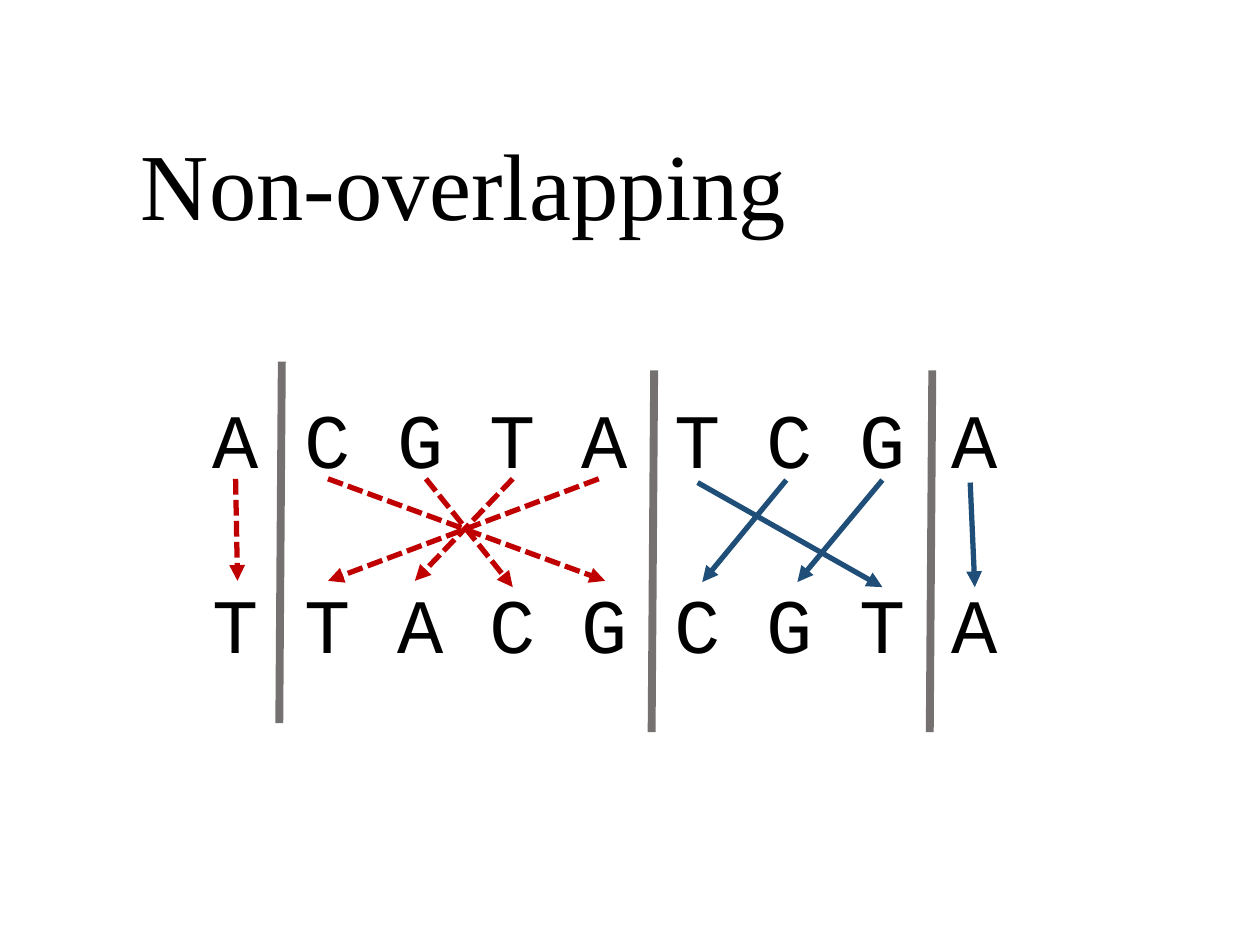
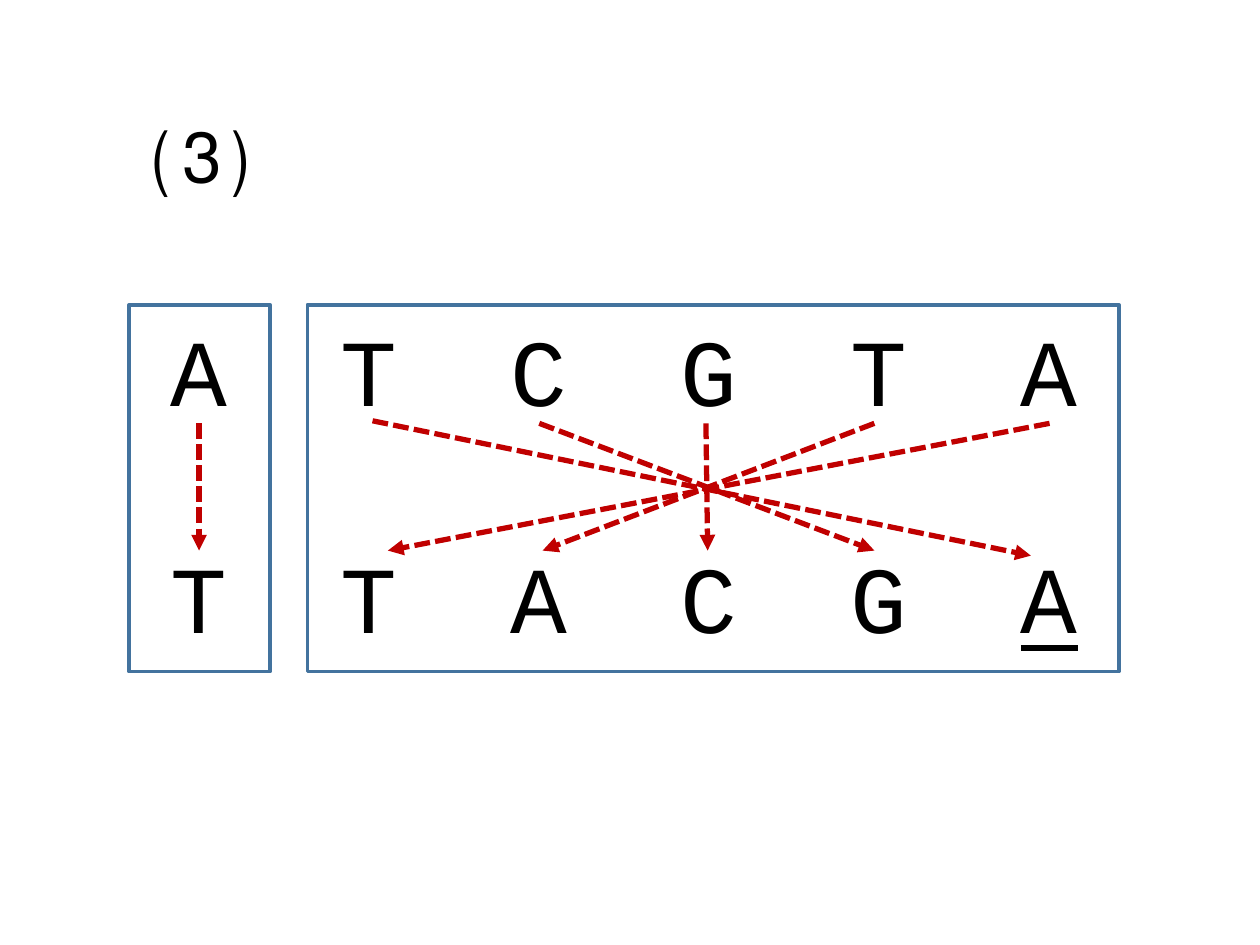
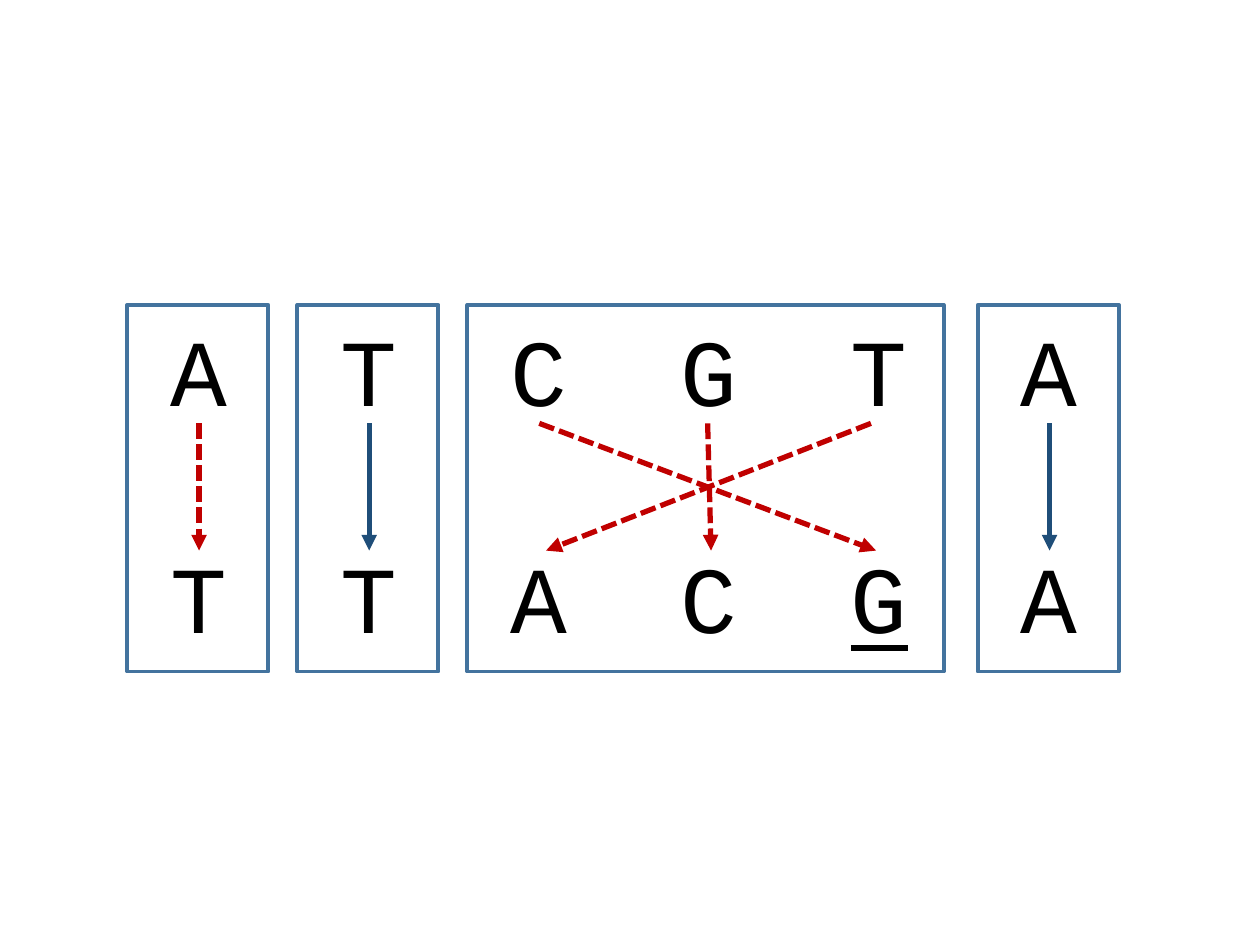
from dataclasses import dataclass

from pptx import Presentation
from pptx.dml.color import RGBColor
from pptx.enum.dml import MSO_LINE
from pptx.enum.shapes import MSO_CONNECTOR, MSO_SHAPE
from pptx.enum.text import MSO_AUTO_SIZE, PP_ALIGN
from pptx.oxml.ns import qn
from pptx.util import Emu, Inches, Pt
from lxml.etree import SubElement

COLORS = {"text": "000000", "reversed": "C00000", "direct": "1F4E79",
          "divider": "767171", "block": "43739E"}
LINE_HEIGHT = 1.2      # of the font size
CHARS_EM = 0.6         # width of a monospaced character
BLOCK_TOP, BLOCK_WIDTH, BLOCK_HEIGHT = 2.42, 1.12, 2.91
BLOCK_STEP = 1.33


@dataclass
class Letters:
    """Grid of two letter rows; column 0 is centred on x0."""
    x0: float
    top: float
    size: int
    chars: int         # characters from one column to the next

    @property
    def pitch(self):
        return self.chars * self.size * CHARS_EM / 72

    def x(self, col):
        return self.x0 + col * self.pitch


SEQUENCE = Letters(1.87, 3.06, 44, 2)
BLOCKS = Letters(1.58, 2.43, 54, 3)


def rgb(name):
    return RGBColor.from_string(COLORS[name])


def add_text(s, x, y, w, h):
    tf = s.shapes.add_textbox(*map(Inches, (x, y, w, h))).text_frame
    tf.word_wrap = False
    tf.auto_size = MSO_AUTO_SIZE.SHAPE_TO_FIT_TEXT
    return tf


def set_font(p, name, size):
    p.font.name, p.font.size = name, Pt(size)
    p.font.color.rgb = rgb("text")


def add_heading(s, text, font, x, y, w):
    p = add_text(s, x, y, w, 1.01).paragraphs[0]
    p.text, p.alignment = text, PP_ALIGN.CENTER
    set_font(p, font, 54)


def add_letters(s, grid, rows, underlined=None):
    """Write the rows on tab stops; underlined is a column of the last row."""
    left = grid.x0 - CHARS_EM * grid.size / 144 - 0.1
    width = grid.pitch * len(rows[0]) + 0.2
    tf = add_text(s, left, grid.top, width, grid.size * LINE_HEIGHT / 24 + 0.1)
    for i, row in enumerate(rows):
        p = tf.add_paragraph() if i else tf.paragraphs[0]
        if i:
            p.space_before = Pt(round(grid.size * LINE_HEIGHT, 1))
        tabs = SubElement(p._p.get_or_add_pPr(), qn("a:tabLst"))
        for col in range(1, len(row)):
            SubElement(tabs, qn("a:tab"), algn="l", pos=str(Inches(col * grid.pitch)))
        set_font(p, "Courier New", grid.size)
        if i == 0 or underlined is None:
            p.add_run().text = "\t".join(row)
            continue
        before, after = row[:underlined], row[underlined + 1:]
        p.add_run().text = "".join(c + "\t" for c in before)
        r = p.add_run()
        r.text, r.font.underline = row[underlined], True
        if after:
            p.add_run().text = "".join("\t" + c for c in after)


def add_line(s, x1, y1, x2, y2, color, width):
    line = s.shapes.add_connector(MSO_CONNECTOR.STRAIGHT, *map(Inches, (x1, y1, x2, y2)))
    line.line.color.rgb, line.line.width = rgb(color), Pt(width)
    SubElement(line._element.spPr, qn("a:effectLst"))
    return line


def add_arrows(s, grid, kind, pairs, top=3.36, bottom=4.37):
    """Join columns of the upper row to columns of the lower row."""
    for start, end in pairs:
        line = add_line(s, grid.x(start), top, grid.x(end), bottom, kind, 3).line
        if kind == "reversed":
            line.dash_style = MSO_LINE.SQUARE_DOT
        SubElement(line._get_or_add_ln(), qn("a:tailEnd"), type="triangle")


def add_block(s, col, span):
    """Frame span columns, starting at col."""
    w = BLOCK_WIDTH + (span - 1) * BLOCK_STEP
    sp = s.shapes.add_shape(MSO_SHAPE.RECTANGLE, *map(
        Inches, (BLOCKS.x(col) - 0.57, BLOCK_TOP, w, BLOCK_HEIGHT)))
    sp.shadow.inherit = False
    sp.fill.background()
    sp.line.color.rgb, sp.line.width = rgb("block"), Pt(2.25)


def sequence_slide(s):
    add_heading(s, "Non-overlapping", "Times New Roman", 0.99, 0.95, 5.38)
    add_letters(s, SEQUENCE, ["ACGTATCGA", "TTACGCGTA"])
    add_arrows(s, SEQUENCE, "reversed",
               [(0, 0.02), (1, 4), (3, 1.94), (3.93, 1)], 3.8, 4.61)
    add_arrows(s, SEQUENCE, "reversed", [(2.06, 3)], 3.8, 4.66)
    add_arrows(s, SEQUENCE, "direct", [(5.96, 5.05), (7, 6.08)], 3.81, 4.62)
    add_arrows(s, SEQUENCE, "direct", [(5, 7), (7.95, 8)], 3.83, 4.66)
    for col, top in ((0.5, 2.87), (4.53, 2.94), (7.54, 2.94)):
        x = SEQUENCE.x(col)
        add_line(s, x, top, x - 0.02, top + 2.87, "divider", 4.5)


def two_blocks_slide(s):
    add_heading(s, "⑶", "Calibri", 1.11, 0.65, 0.96)
    add_letters(s, BLOCKS, ["ATCGTA", "TTACGA"], underlined=5)
    for col, span in ((0.01, 1), (1.06, 5)):
        add_block(s, col, span)
    add_arrows(s, BLOCKS, "reversed",
               [(0, 0), (5, 1.11), (3.97, 2.02), (2.98, 2.99), (2, 3.97)])
    add_arrows(s, BLOCKS, "reversed", [(1.02, 4.89)], 3.34, 4.41)


def four_blocks_slide(s):
    add_letters(s, BLOCKS, ["ATCGTA", "TTACGA"], underlined=4)
    for col, span in ((0, 1), (1, 1), (2, 3), (5, 1)):
        add_block(s, col, span)
    add_arrows(s, BLOCKS, "reversed",
               [(0, 0), (3.95, 2.04), (2.99, 3.01), (2, 3.98)])
    add_arrows(s, BLOCKS, "direct", [(1, 1), (5, 5)])


def main():
    prs = Presentation()
    prs.slide_width, prs.slide_height = Inches(10), Inches(7.5)
    for build in (sequence_slide, two_blocks_slide, four_blocks_slide):
        build(prs.slides.add_slide(prs.slide_layouts[6]))
    prs.save("out.pptx")


if __name__ == "__main__":
    main()
